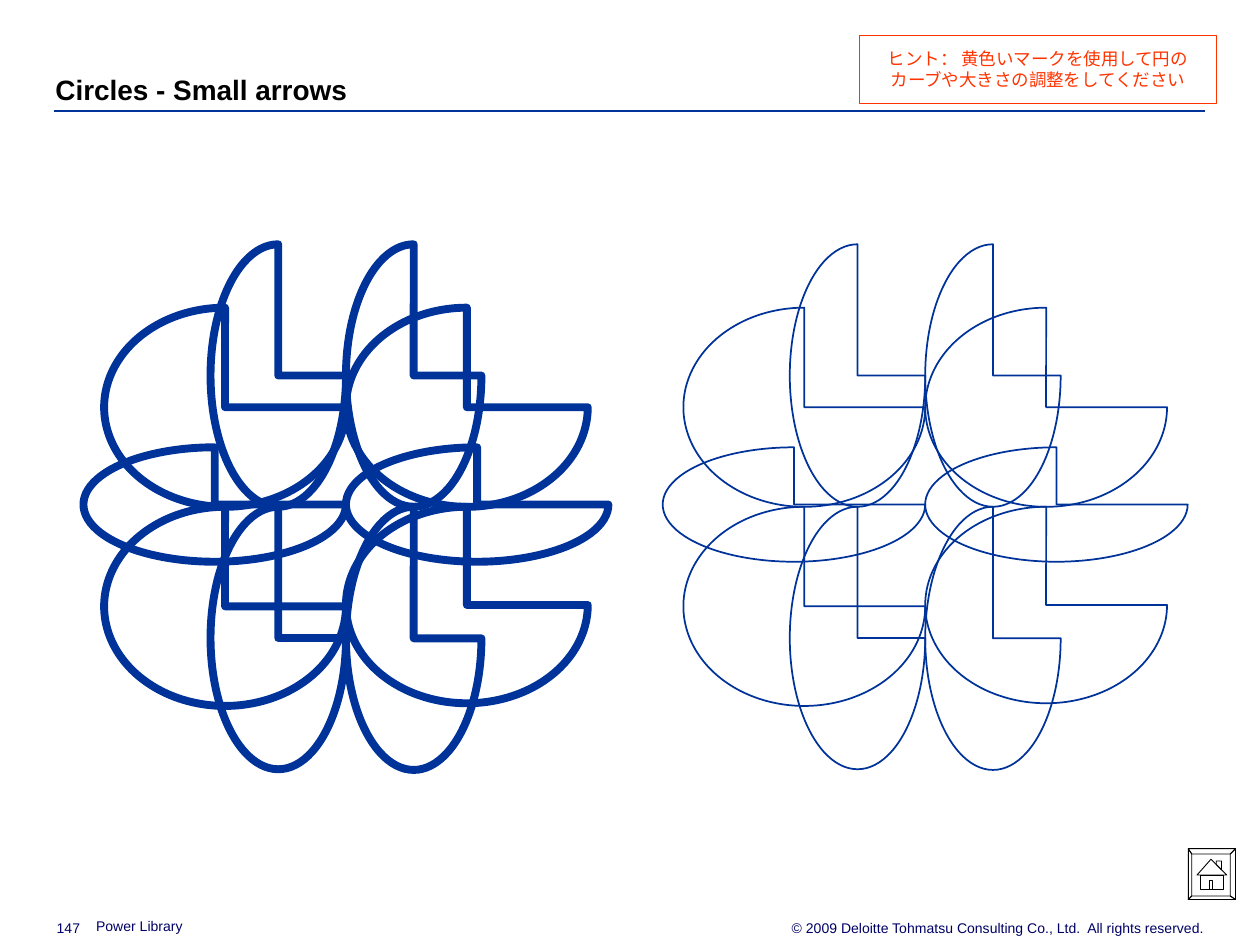
from pptx import Presentation
from pptx.dml.color import RGBColor
from pptx.enum import shapes, text
from pptx.oxml.ns import qn
from pptx.util import Pt
from lxml import etree

COLORS = {"blue": "003399", "navy": "000066", "red": "FF3300", "black": "000000"}

TITLE = "Circles - Small arrows"
HINT = "ヒント： 黄色いマークを使用して円のカーブや大きさの調整をしてください"
PAGE = "147"
LIBRARY = "Power Library"
RIGHTS = "© 2009 Deloitte Tohmatsu Consulting Co., Ltd.  All rights reserved."

# Each flower: centre x and line width
FLOWERS = [(197.7, 4.5), (528.7, 1)]
MIDDLE = 289.6
# Each petal: width, height, share of the width left of the centre,
# share of the height above it
PETALS = [
    (77.4, 150, 1, 1),
    (77.4, 150, 0, 1),
    (138.2, 113.8, 0, 1),
    (150, 65.4, 0, 0.52),
    (138.2, 112.3, 0, 0),
    (77.4, 150.4, 0, 0),
    (77.4, 150, 1, 0),
    (138.2, 113.8, 1, 0),
    (150, 65.4, 1, 0.52),
    (138.2, 113.8, 1, 1),
]

# Home button: left, top, right, bottom of the frame, then its bevel
FRAME = (679.2, 485.4, 705.6, 513.9)
BEVEL = 2.2
HOUSE = [
    [(692.2, 491), (700.6, 499.7), (684, 499.7)],
    [(686, 499.7), (698.6, 499.7), (698.6, 508.3), (686, 508.3)],
    [(691, 503.4), (693.4, 503.4), (693.4, 508.3), (691, 508.3)],
    [(695.2, 494.1), (695.2, 492.2), (697.6, 492.2), (697.6, 496.6)],
]


def rgb(name):
    return RGBColor.from_string(COLORS[name])


def outline(shape, color, width):
    """Leave only a plain line on the shape."""
    shape.shadow.inherit = False
    shape.fill.background()
    shape.line.color.rgb = rgb(color)
    shape.line.width = Pt(width)


def write(shape, words, size=8, color="navy", bold=False, inset=0,
          align=text.PP_ALIGN.LEFT, anchor=text.MSO_ANCHOR.BOTTOM, spacing=None):
    frame = shape.text_frame
    frame.word_wrap = True
    frame.vertical_anchor = anchor
    frame.margin_left = frame.margin_right = Pt(inset)
    frame.margin_top = frame.margin_bottom = Pt(inset)
    para = frame.paragraphs[0]
    para.alignment = align
    if spacing:
        para.line_spacing = spacing
    run = para.add_run()
    run.text = words
    run.font.name = "Arial"
    run.font.size = Pt(size)
    run.font.bold = bold
    run.font.color.rgb = rgb(color)


def label(slide, box, words, **style):
    write(slide.shapes.add_textbox(*map(Pt, box)), words, **style)


def rule(slide, left, right, y):
    line = slide.shapes.add_connector(
        shapes.MSO_CONNECTOR.STRAIGHT, Pt(left), Pt(y), Pt(right), Pt(y))
    line.line.color.rgb = rgb("blue")
    line.line.width = Pt(1.5)
    etree.SubElement(line._element.spPr, qn("a:effectLst"))


def flower(slide, center, width):
    group = slide.shapes.add_group_shape()
    for wide, high, left, above in PETALS:
        box = (center - left * wide, MIDDLE - above * high, wide, high)
        petal = group.shapes.add_shape(shapes.MSO_SHAPE.PIE, *map(Pt, box))
        petal.adjustments[0] = 0
        petal.adjustments[1] = -90
        # Angles are stored in 60000ths of a degree
        for guide, angle in zip(petal._element.spPr.iter(qn("a:gd")), (0, 270)):
            guide.set("fmla", f"val {angle * 60000}")
        outline(petal, "blue", width)


def corners(left, top, right, bottom):
    return [(left, top), (right, top), (right, bottom), (left, bottom)]


def home(slide):
    left, top, right, bottom = FRAME
    outer = corners(*FRAME)
    inner = corners(left + BEVEL, top + BEVEL, right - BEVEL, bottom - BEVEL)
    bevels = [[outer[i], outer[i - 1], inner[i - 1], inner[i]] for i in range(4)]
    paths = [outer, *bevels, *HOUSE]
    build = slide.shapes.build_freeform(*outer[0], scale=Pt(1))
    for i, path in enumerate(paths):
        if i:
            build.move_to(*path[0])
        build.add_line_segments(path[1:], close=True)
    outline(build.convert_to_shape(), "black", 0.5)


def main():
    deck = Presentation()
    deck.slide_width, deck.slide_height = Pt(720), Pt(540)
    slide = deck.slides.add_slide(deck.slide_layouts[6])

    rule(slide, 31, 688.5, 63.5)
    label(slide, (414.7, 525.6, 273.6, 9.4), RIGHTS, align=text.PP_ALIGN.RIGHT)
    home(slide)
    label(slide, (54.9, 524.7, 318.2, 9.4), LIBRARY)
    label(slide, (32.4, 525.6, 23, 9.4), PAGE)
    label(slide, (31.7, 40.3, 657.4, 20.2), TITLE, size=16, color="black",
          bold=True, spacing=1.06)
    for center, width in FLOWERS:
        flower(slide, center, width)

    hint = slide.shapes.add_shape(
        shapes.MSO_SHAPE.RECTANGLE, Pt(491), Pt(20.3), Pt(204), Pt(38.6))
    outline(hint, "red", 0.5)
    write(hint, HINT, size=10, color="red", inset=7.2,
          align=text.PP_ALIGN.CENTER, anchor=text.MSO_ANCHOR.MIDDLE)

    deck.save("out.pptx")


if __name__ == "__main__":
    main()
